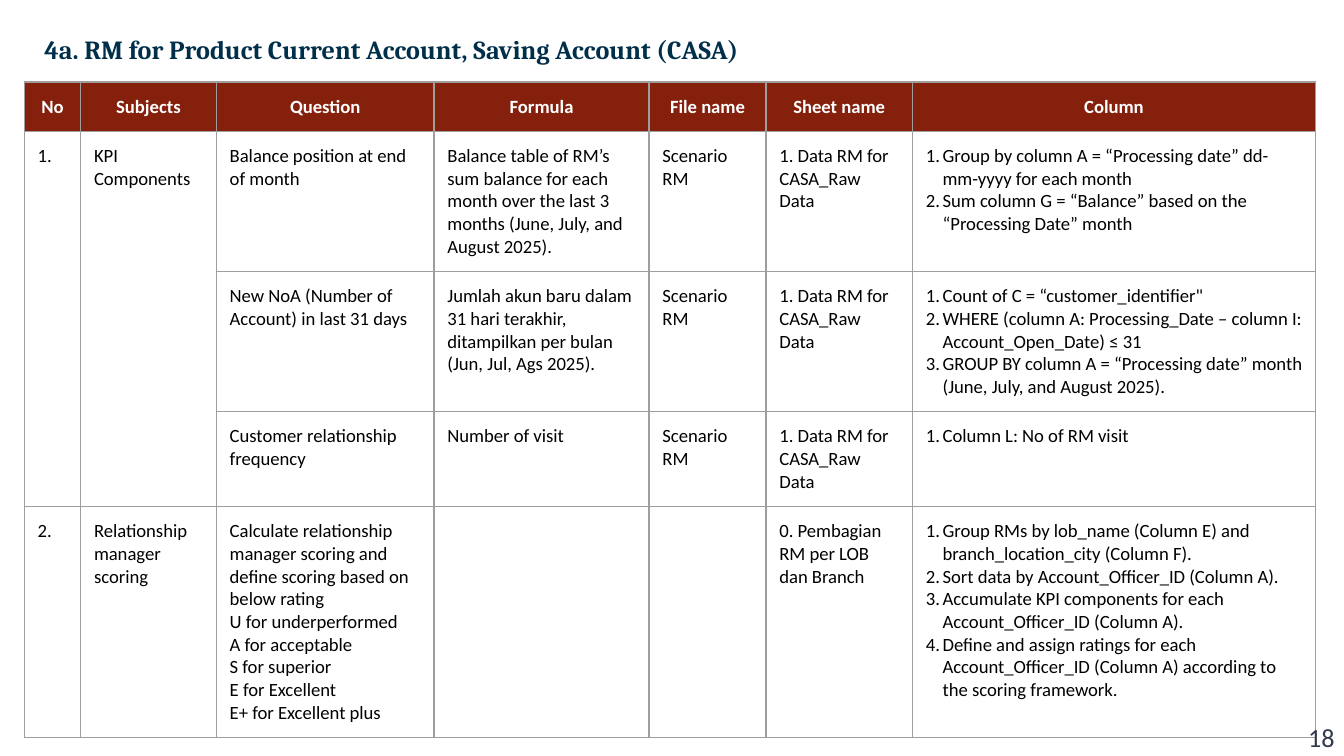
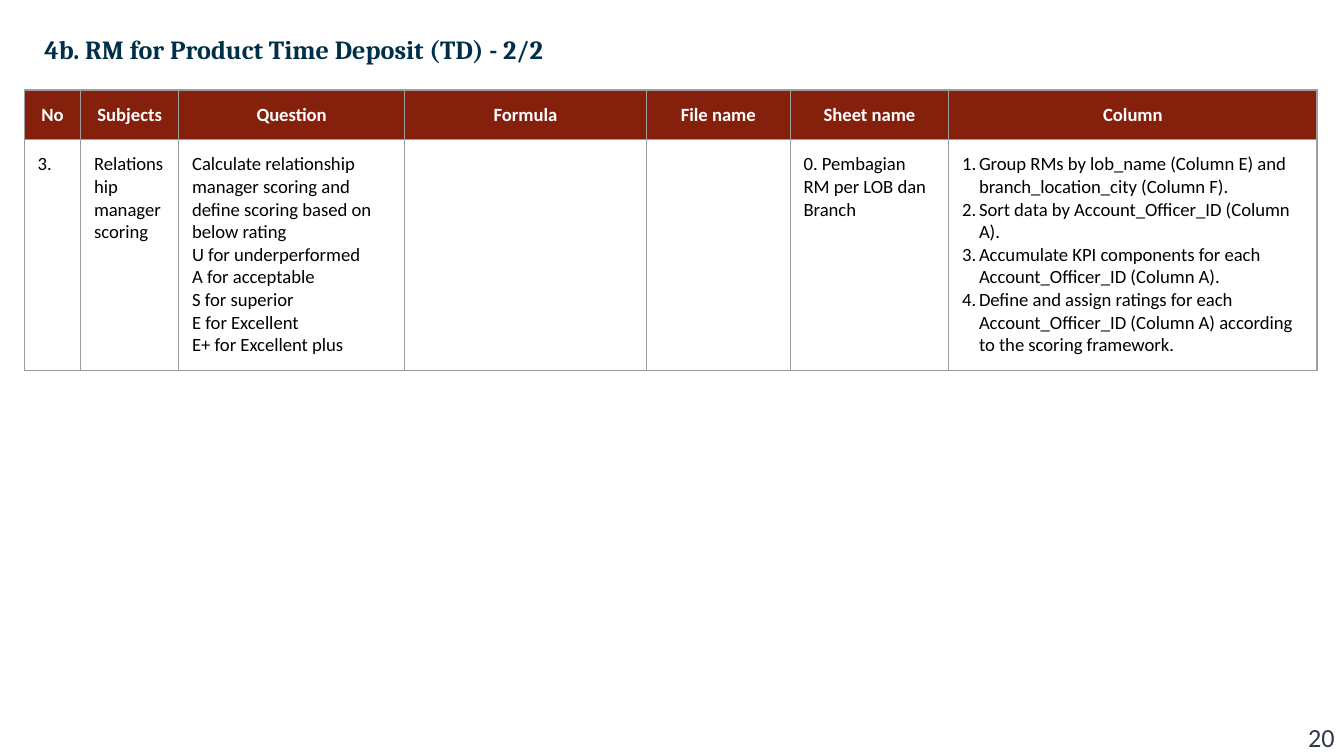
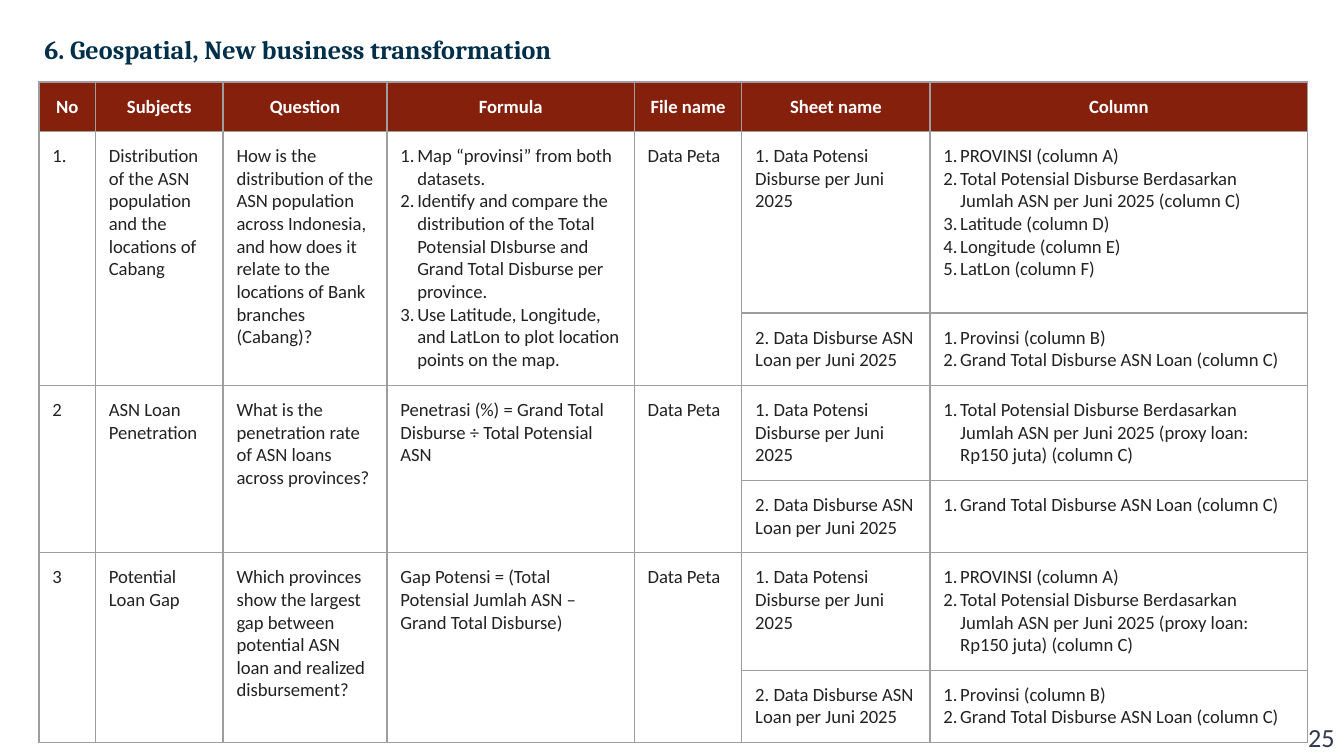
from dataclasses import dataclass

from lxml.etree import SubElement
from pptx import Presentation
from pptx.dml.color import RGBColor
from pptx.enum.text import MSO_ANCHOR as Anchor, MSO_AUTO_SIZE as AutoSize, PP_ALIGN as Align
from pptx.oxml.ns import qn
from pptx.util import Pt


@dataclass(frozen=True)
class Theme:
    navy: str = "002F4A"
    slate: str = "31394D"
    maroon: str = "85200C"
    grid: str = "9E9E9E"
    white: str = "FFFFFF"
    black: str = "000000"
    charcoal: str = "222222"
    heading_font: str = "Cambria"
    body_font: str = "Calibri"
    title_size: float = 14
    number_size: float = 14
    table_size: float = 10
    line_width: float = 0.75


THEME = Theme()
TITLE_AREA = (18.72, 10.8, 679.68, 33.12)
NUMBER_AREA = (524.16, 383.76, 195.84, 21.6)
TABLE_SIDE = 236.2
HEADERS = ["No", "Subjects", "Question", "Formula", "File name", "Sheet name", "Column"]

# Lists hold plain paragraphs, tuples hold numbered steps, None continues the cell above.
SCORING = [
    "Relationship manager scoring",
    [
        "Calculate relationship manager scoring and define scoring based on below rating",
        "U for underperformed",
        "A for acceptable",
        "S for superior",
        "E for Excellent",
        "E+ for Excellent plus",
    ],
    "",
    "",
    "0. Pembagian RM per LOB dan Branch",
    (
        "Group RMs by lob_name (Column E) and branch_location_city (Column F).",
        "Sort data by Account_Officer_ID (Column A).",
        "Accumulate KPI components for each Account_Officer_ID (Column A).",
        "Define and assign ratings for each Account_Officer_ID (Column A) according to the "
        "scoring framework.",
    ),
]
RAW_DATA = ["Scenario RM", "1. Data RM for CASA_Raw Data"]
POTENTIAL = "1. Data Potensi Disburse per Juni 2025"
DISBURSED = [None] * 5 + ["2. Data Disburse ASN Loan per Juni 2025"]
GRAND_TOTAL = "Grand Total Disburse ASN Loan (column C)"
TOTAL = "Total Potensial Disburse Berdasarkan Jumlah ASN per Juni 2025"
PROXY_TOTAL = TOTAL + " (proxy loan: Rp150 juta) (column C)"

SLIDES = [
    {
        "title": "4a. RM for Product Current Account, Saving Account (CASA)",
        "number": "18",
        "origin": (12.96, 43.92),
        "ink": THEME.black,
        "fill": None,
        "widths": [30.24, 72.72, 116.64, 115.2, 62.64, 78.48, 216],
        "heights": [25.92, 36.72, 7.92, 12.96, 7.92],
        "rows": [
            ["1.", "KPI Components", "Balance position at end of month",
             "Balance table of RM’s sum balance for each month over the last 3 months "
             "(June, July, and August 2025).",
             *RAW_DATA,
             ("Group by column A = “Processing date” dd-mm-yyyy for each month",
              "Sum column G = “Balance” based on the “Processing Date” month")],
            [None, None, "New NoA (Number of Account) in last 31 days",
             "Jumlah akun baru dalam 31 hari terakhir, ditampilkan per bulan "
             "(Jun, Jul, Ags 2025).",
             *RAW_DATA,
             ("Count of C = “customer_identifier\"",
              "WHERE (column A: Processing_Date – column I: Account_Open_Date) ≤ 31",
              "GROUP BY column A = “Processing date” month (June, July, and August 2025).")],
            [None, None, "Customer relationship frequency", "Number of visit",
             *RAW_DATA, ("Column L: No of RM visit",)],
            ["2.", *SCORING],
        ],
    },
    {
        "title": "4b. RM for Product Time Deposit (TD) - 2/2",
        "number": "20",
        "origin": (12.96, 48.24),
        "ink": THEME.black,
        "fill": None,
        "widths": [30.24, 52.56, 120.96, 129.6, 77.04, 84.96, 197.28],
        "heights": [25.92, 36.72],
        "rows": [["3.", *SCORING]],
    },
    {
        "title": "6. Geospatial, New business transformation",
        "number": "25",
        "origin": (20.88, 43.92),
        "ink": THEME.charcoal,
        "fill": THEME.white,
        "widths": [30.24, 68.4, 87.84, 132.48, 57.6, 100.8, 202.32],
        "heights": [25.92, 97.2, 38.88, 49.68, 38.16, 61.2, 34.56],
        "rows": [
            ["1.", "Distribution of the ASN population and the locations of Cabang",
             "How is the distribution of the ASN population across Indonesia, and how does it "
             "relate to the locations of Bank branches (Cabang)?",
             ("Map “provinsi” from both datasets.",
              "Identify and compare the distribution of the Total Potensial DIsburse and "
              "Grand Total Disburse per province.",
              "Use Latitude, Longitude, and LatLon to plot location points on the map."),
             "Data Peta", POTENTIAL,
             ("PROVINSI (column A)", TOTAL + " (column C)", "Latitude (column D)",
              "Longitude (column E)", "LatLon (column F)")],
            [*DISBURSED, ("Provinsi (column B)", GRAND_TOTAL)],
            ["2", "ASN Loan Penetration",
             "What is the penetration rate of ASN loans across provinces?",
             "Penetrasi (%) = Grand Total Disburse ÷ Total Potensial ASN",
             "Data Peta", POTENTIAL, (PROXY_TOTAL,)],
            [*DISBURSED, (GRAND_TOTAL,)],
            ["3", "Potential Loan Gap",
             "Which provinces show the largest gap between potential ASN loan and realized "
             "disbursement?",
             "Gap Potensi = (Total Potensial Jumlah ASN – Grand Total Disburse)",
             "Data Peta", POTENTIAL, ("PROVINSI (column A)", PROXY_TOTAL)],
            [*DISBURSED, ("Provinsi (column B)", GRAND_TOTAL)],
        ],
    },
]


def apply(target, values):
    for name, value in values.items():
        setattr(target, name, value)


def add_span(para, text, size, color, font, bold=False):
    span = para.add_run()
    span.text = text
    apply(span.font, {"size": Pt(size), "name": font, "bold": bold})
    span.font.color.rgb = RGBColor.from_string(color)


def set_frame(frame, anchor):
    apply(frame, {
        "word_wrap": True, "auto_size": AutoSize.NONE, "vertical_anchor": anchor,
        "margin_left": Pt(5.04), "margin_right": Pt(5.04),
        "margin_top": Pt(2.88), "margin_bottom": Pt(2.88),
    })


def add_title(page, text):
    box = page.shapes.title
    apply(box, dict(zip(("left", "top", "width", "height"), map(Pt, TITLE_AREA))))
    set_frame(box.text_frame, Anchor.MIDDLE)
    para = box.text_frame.paragraphs[0]
    apply(para, {"alignment": Align.LEFT, "line_spacing": 0.9})
    add_span(para, text, THEME.title_size, THEME.navy, THEME.heading_font, True)


def add_number(page, text):
    frame = page.shapes.add_textbox(*map(Pt, NUMBER_AREA)).text_frame
    set_frame(frame, Anchor.TOP)
    para = frame.paragraphs[0]
    para.alignment = Align.RIGHT
    add_span(para, text, THEME.number_size, THEME.slate, THEME.body_font)


def add_color(parent, color):
    SubElement(parent, qn("a:srgbClr"), val=color)


def number_paragraph(para, color):
    properties = para._p.get_or_add_pPr()
    properties.set("marL", str(Pt(9)))
    properties.set("indent", str(Pt(-9.5)))
    add_color(SubElement(properties, qn("a:buClr")), color)
    SubElement(properties, qn("a:buFont"), typeface=THEME.body_font)
    SubElement(properties, qn("a:buAutoNum"), type="arabicPeriod")


def style_cell(cell, fill):
    apply(cell, {f"margin_{side}": Pt(7.2) for side in ("left", "right", "top", "bottom")})
    properties = cell._tc.get_or_add_tcPr()
    for side in ("lnL", "lnR", "lnT", "lnB"):
        line = SubElement(properties, qn(f"a:{side}"), w=str(Pt(THEME.line_width)))
        add_color(SubElement(line, qn("a:solidFill")), THEME.grid)
    if fill:
        cell.fill.solid()
        cell.fill.fore_color.rgb = RGBColor.from_string(fill)
    else:
        cell.fill.background()


def fill_cell(cell, content, color, header):
    lines = [content] if isinstance(content, str) else content
    frame = cell.text_frame
    for index, text in enumerate(lines):
        para = frame.add_paragraph() if index else frame.paragraphs[0]
        para.alignment = Align.CENTER if header else Align.LEFT
        if isinstance(content, tuple):
            number_paragraph(para, color)
        if text:
            add_span(para, text, THEME.table_size, color, THEME.body_font, header)


def add_grid(page, slide):
    rows = [HEADERS, *slide["rows"]]
    area = (*slide["origin"], TABLE_SIDE, TABLE_SIDE)
    holder = page.shapes.add_table(len(rows), len(HEADERS), *map(Pt, area))
    table = holder.table
    apply(table, {"first_row": False, "horz_banding": False})
    for column, width in zip(table.columns, slide["widths"]):
        column.width = Pt(width)
    for row, height in zip(table.rows, slide["heights"]):
        row.height = Pt(height)
    apply(holder, {"width": Pt(TABLE_SIDE), "height": Pt(TABLE_SIDE)})

    for top, row in enumerate(rows):
        header = top == 0
        for left, content in enumerate(row):
            cell = table.cell(top, left)
            style_cell(cell, THEME.maroon if header else slide["fill"])
            if content is None:
                continue
            fill_cell(cell, content, THEME.white if header else slide["ink"], header)
            bottom = top
            while bottom + 1 < len(rows) and rows[bottom + 1][left] is None:
                bottom += 1
            if bottom > top:
                cell.merge(table.cell(bottom, left))


def main():
    deck = Presentation()
    apply(deck, {"slide_width": Pt(720), "slide_height": Pt(405)})
    for slide in SLIDES:
        page = deck.slides.add_slide(deck.slide_layouts[5])
        add_title(page, slide["title"])
        add_grid(page, slide)
        add_number(page, slide["number"])
    deck.save("out.pptx")


if __name__ == "__main__":
    main()
